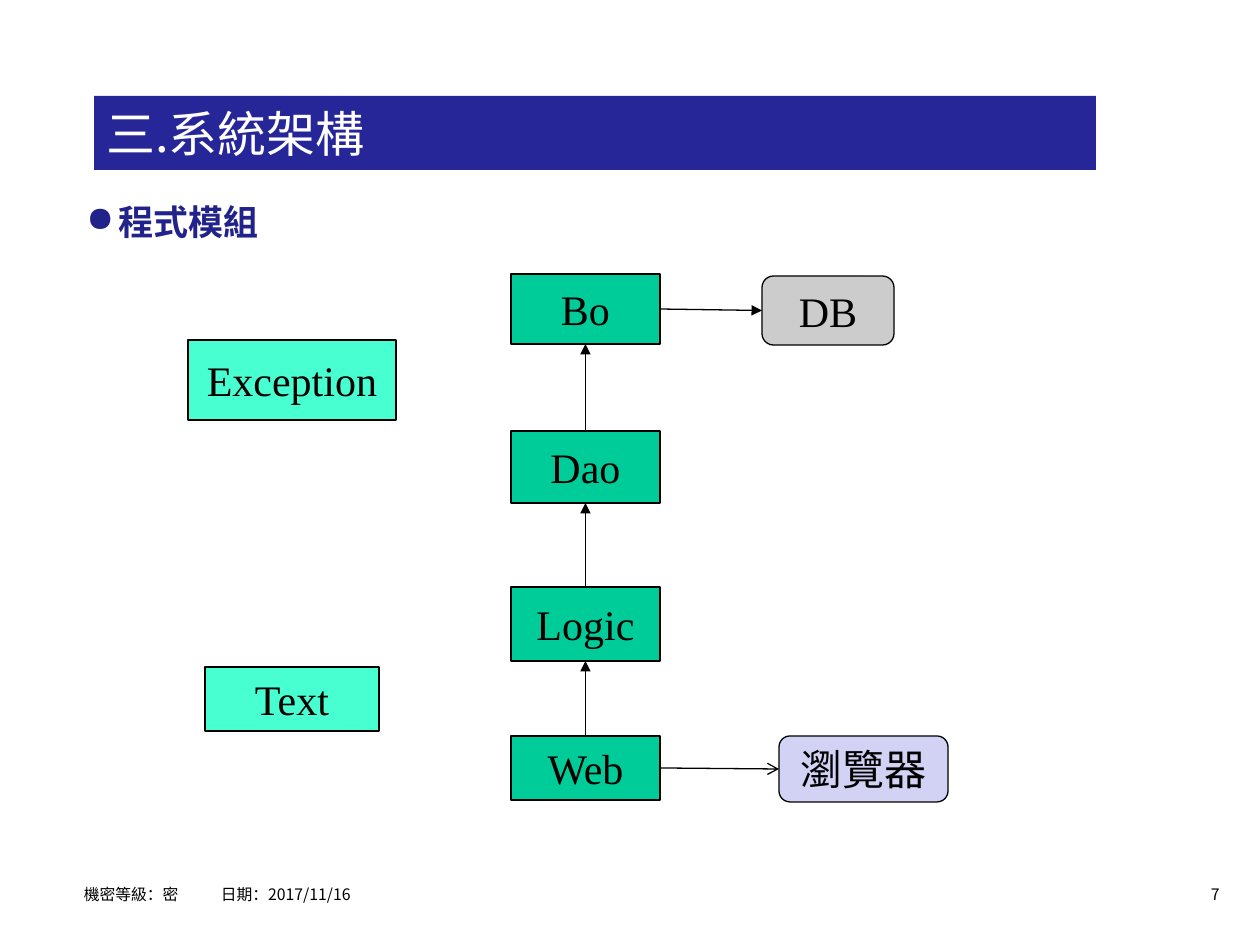
from dataclasses import dataclass

from lxml import etree
from pptx import Presentation, util as u
from pptx.dml.color import RGBColor
from pptx.enum import shapes, text
from pptx.oxml import ns

PX = 914400 / 126
COLORS = {
    "black": "000000", "white": "FFFFFF", "title": "262699", "heading": "22228B",
    "layer": "00CC99", "helper": "47FFD1", "store": "CCCCCC", "client": "D2D2F4",
}
SANS, SERIF = "Noto Sans CJK SC", "Times New Roman"
RECT = shapes.MSO_SHAPE.RECTANGLE
ROUND = shapes.MSO_SHAPE.ROUNDED_RECTANGLE
LEFT, CENTER, RIGHT = text.PP_ALIGN.LEFT, text.PP_ALIGN.CENTER, text.PP_ALIGN.RIGHT
TOP_SIDE, LEFT_SIDE, BOTTOM_SIDE, RIGHT_SIDE = range(4)


@dataclass
class Module:
    label: str
    left: int
    top: int
    width: int
    height: int
    fill: str
    outline: shapes.MSO_SHAPE = RECT


@dataclass
class Link:
    begin: str
    begin_side: int
    end: str
    end_side: int
    head: str = "triangle"


def px(value: float) -> u.Emu:
    return u.Emu(round(value * PX))


def color(name: str) -> RGBColor:
    return RGBColor.from_string(COLORS[name])


def add_xml(parent, tag: str, **attributes):
    return etree.SubElement(parent, ns.qn(tag), attributes)


def write(para, words: str, size: int, font: str, ink: str, align=LEFT, bold=False):
    para.alignment = align
    span = para.add_run()
    span.text = words
    span.font.size = u.Pt(size)
    span.font.name = font
    span.font.bold = bold
    span.font.color.rgb = color(ink)
    if font == SANS:
        add_xml(span.font._element, "a:ea", typeface=font)


def add_box(page, left: int, top: int, width: int, height: int):
    box = page.shapes.add_textbox(px(left), px(top), px(width), px(height))
    box.text_frame.word_wrap = True
    return box


def add_block(page, module: Module, line=True):
    block = page.shapes.add_shape(
        module.outline, px(module.left), px(module.top), px(module.width), px(module.height))
    block.shadow.inherit = False
    block.fill.solid()
    block.fill.fore_color.rgb = color(module.fill)
    if line:
        block.line.color.rgb = color("black")
        block.line.width = u.Pt(0.75)
    else:
        block.line.fill.background()
    block.text_frame.vertical_anchor = text.MSO_ANCHOR.MIDDLE
    return block


def add_arrow(page, link: Link, blocks: dict):
    arrow = page.shapes.add_connector(shapes.MSO_CONNECTOR.STRAIGHT, 0, 0, 0, 0)
    arrow.begin_connect(blocks[link.begin], link.begin_side)
    arrow.end_connect(blocks[link.end], link.end_side)
    arrow.line.color.rgb = color("black")
    arrow.line.width = u.Pt(0.75)
    add_xml(arrow.line._get_or_add_ln(), "a:tailEnd", type=link.head)
    add_xml(arrow._element.spPr, "a:effectLst")


MODULES = [
    Module("Bo", 511, 274, 149, 70, "layer"),
    Module("Dao", 511, 431, 149, 72, "layer"),
    Module("Logic", 511, 587, 149, 74, "layer"),
    Module("Web", 511, 736, 149, 64, "layer"),
    Module("Text", 205, 667, 174, 64, "helper"),
    Module("Exception", 188, 340, 208, 80, "helper"),
    Module("DB", 762, 276, 132, 69, "store", ROUND),
    Module("瀏覽器", 779, 736, 169, 66, "client", ROUND),
]
LINKS = [
    Link("Web", TOP_SIDE, "Logic", BOTTOM_SIDE),
    Link("Logic", TOP_SIDE, "Dao", BOTTOM_SIDE),
    Link("Dao", TOP_SIDE, "Bo", BOTTOM_SIDE),
    Link("Bo", RIGHT_SIDE, "DB", LEFT_SIDE),
    Link("Web", RIGHT_SIDE, "瀏覽器", LEFT_SIDE, "arrow"),
]


def main():
    deck = Presentation()
    deck.slide_width, deck.slide_height = px(1260), px(945)
    page = deck.slides.add_slide(deck.slide_layouts[6])

    # Title bar
    title = add_block(page, Module("三.系統架構", 94, 96, 1002, 74, "title"), line=False)
    write(title.text_frame.paragraphs[0], "三.系統架構", 28, SANS, "white")

    # Bulleted heading
    heading = add_box(page, 74, 194, 1101, 60)
    para = heading.text_frame.paragraphs[0]
    props = para._p.get_or_add_pPr()
    props.set("marL", str(px(32)))
    props.set("indent", str(px(-32)))
    add_xml(add_xml(props, "a:buClr"), "a:srgbClr", val=COLORS["heading"])
    add_xml(props, "a:buChar", char="●")
    write(para, "程式模組", 20, SANS, "heading", bold=True)

    # Module diagram
    blocks = {}
    for module in MODULES:
        block = blocks[module.label] = add_block(page, module)
        write(block.text_frame.paragraphs[0], module.label, 24, SERIF, "black", CENTER)
    for link in LINKS:
        add_arrow(page, link, blocks)

    # Footer with a tab stop before the date
    footer = add_box(page, 84, 869, 935, 39)
    footer.text_frame.margin_left = 0
    para = footer.text_frame.paragraphs[0]
    para.line_spacing = 1.5
    tabs = add_xml(para._p.get_or_add_pPr(), "a:tabLst")
    add_xml(tabs, "a:tab", pos=str(px(137)), algn="l")
    write(para, "機密等級：密\t日期：2017/11/16", 9, SANS, "black")

    # Page number
    number = add_box(page, 1147, 879, 85, 32)
    write(number.text_frame.paragraphs[0], "7", 9, SANS, "black", RIGHT)

    deck.save("out.pptx")


if __name__ == "__main__":
    main()
